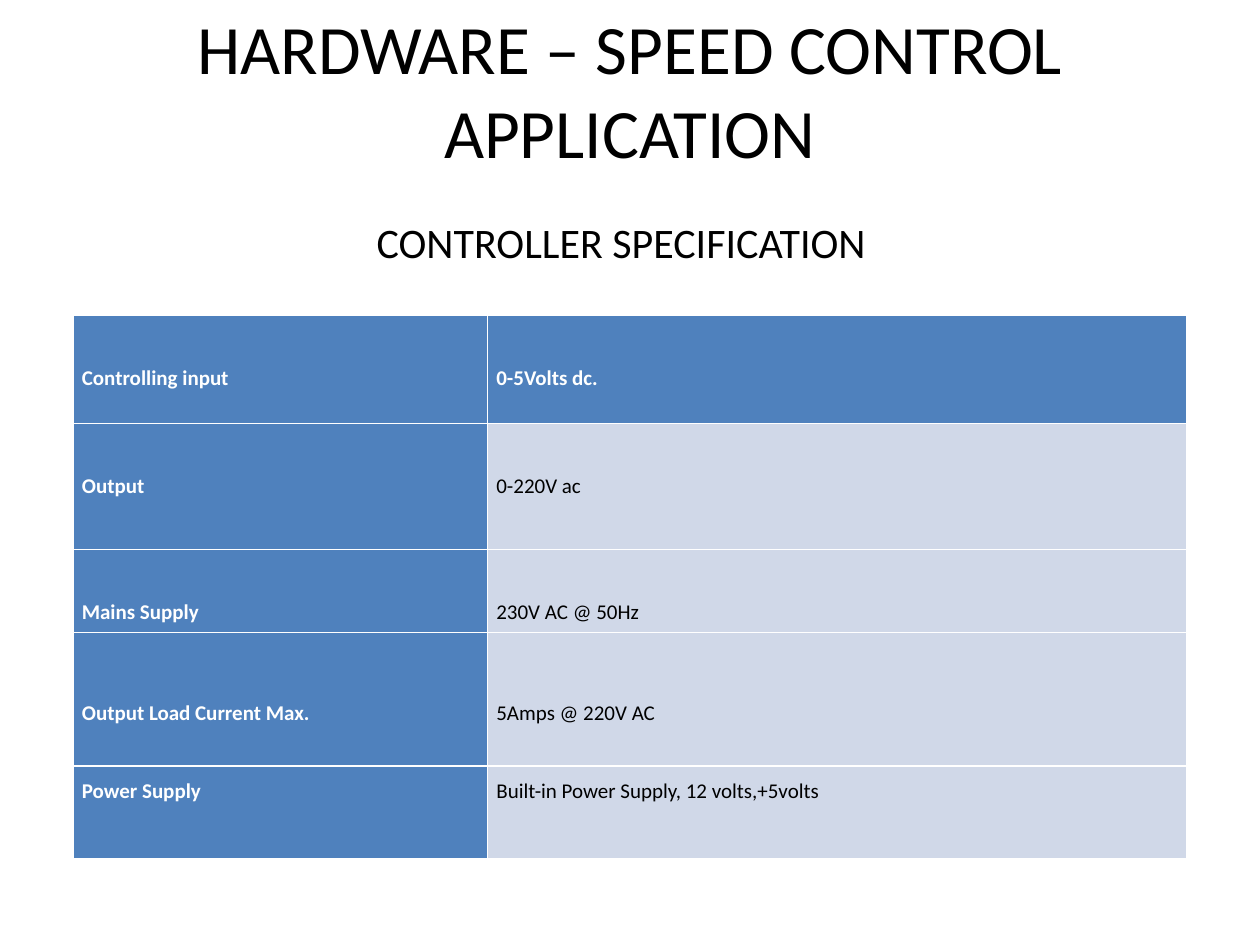
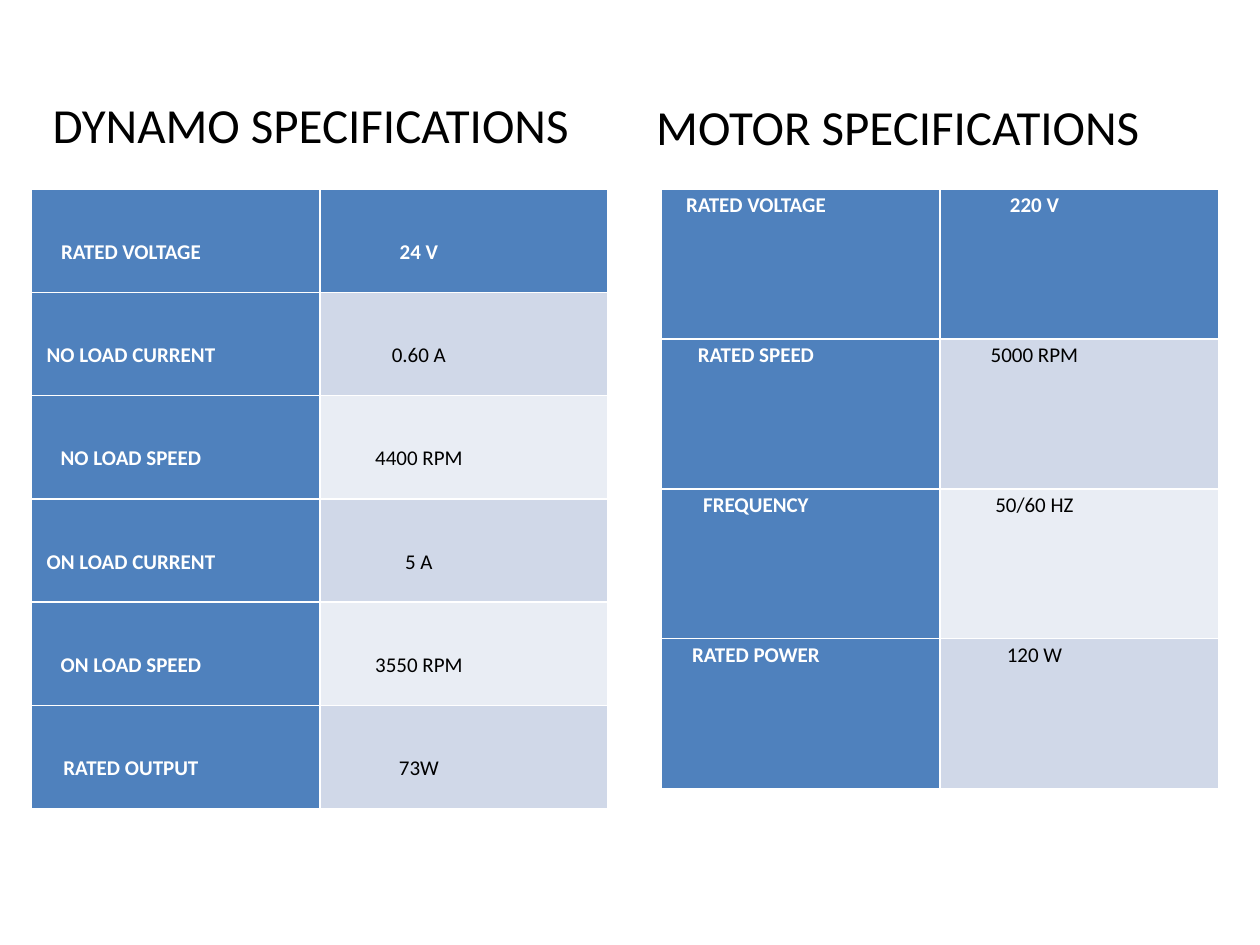
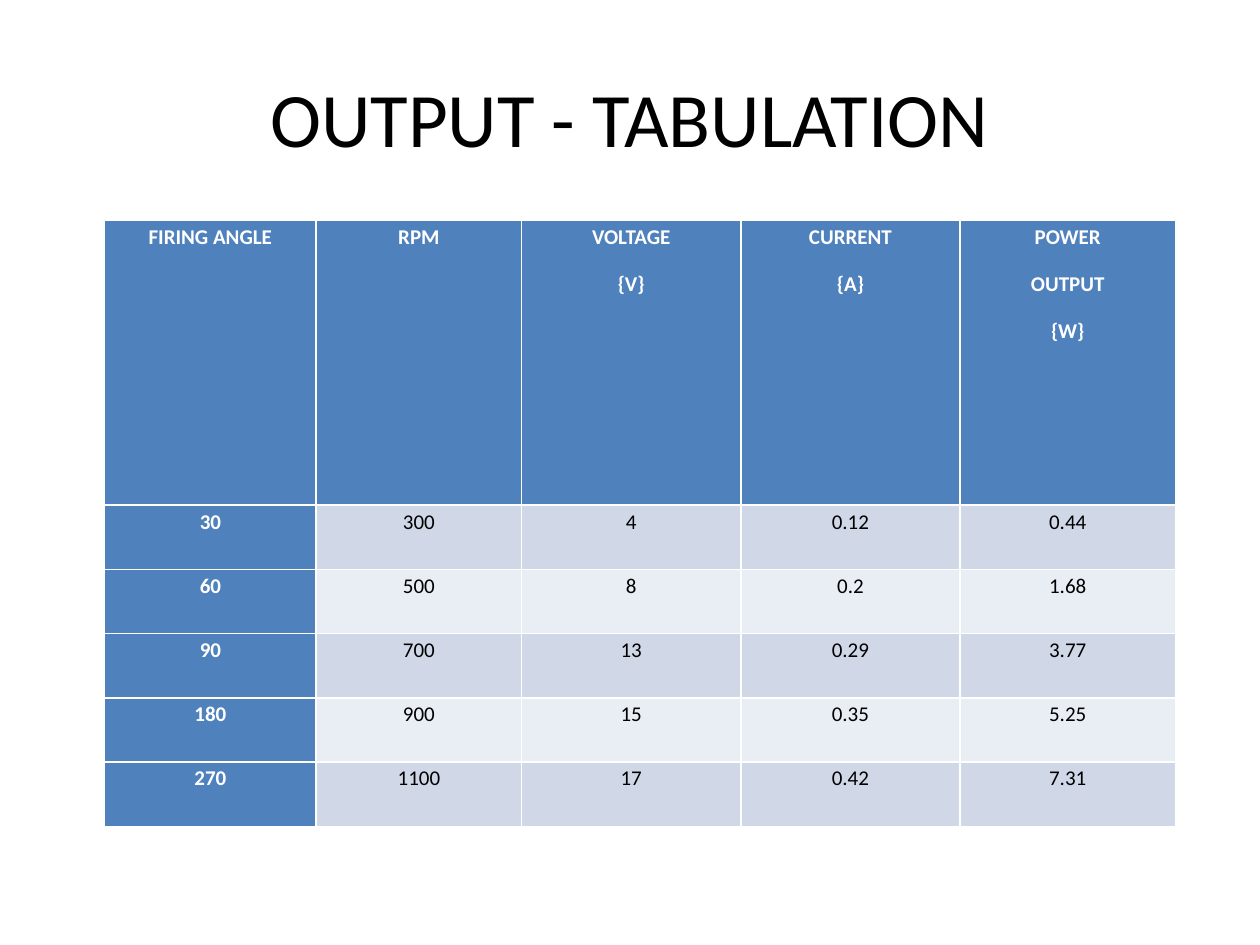
import pptx
import pptx.util
import pptx.dml.color
import pptx.enum.text

Inches = pptx.util.Inches
Pt = pptx.util.Pt
RGBColor = pptx.dml.color.RGBColor
Align = pptx.enum.text.PP_ALIGN
Fit = pptx.enum.text.MSO_AUTO_SIZE

FONT = "Calibri"
BLACK = RGBColor(0x00, 0x00, 0x00)
WHITE = RGBColor(0xFF, 0xFF, 0xFF)
BLUE = RGBColor(0x4F, 0x81, 0xBD)
BAND = RGBColor(0xD0, 0xD8, 0xE8)
PALE = RGBColor(0xE9, 0xED, 0xF4)

TITLE_ONLY, BLANK = 5, 6
SIDE = 0.07      # usual left and right cell margin
RIGHT = 0.78     # right cell margin that shifts centred text to the left
DROP = 0.37      # top cell margin, one line deep
DEEP = 0.44      # the same for wider line spacing

CONTROL = [
    ("Controlling input", "0-5Volts dc."),
    ("Output", "0-220V ac"),
    ("Mains Supply", "230V AC @ 50Hz"),
    ("Output Load Current Max.", "5Amps @ 220V AC"),
    ("Power Supply", "Built-in Power Supply, 12 volts,+5volts"),
]
DYNAMO = [
    ("RATED VOLTAGE", "24 V"),
    ("NO LOAD CURRENT", "0.60 A"),
    ("NO LOAD SPEED", "4400 RPM"),
    ("ON LOAD CURRENT", "5 A"),
    ("ON LOAD SPEED", "3550 RPM"),
    ("RATED OUTPUT", "73W"),
]
MOTOR = [
    ("RATED VOLTAGE", "220 V"),
    ("RATED SPEED", "5000 RPM"),
    ("FREQUENCY", "50/60 HZ"),
    ("RATED POWER", "120 W"),
]
OUTPUT = [
    ("FIRING ANGLE", "RPM", "VOLTAGE\n{V}", "CURRENT\n{A}", "POWER\nOUTPUT\n{W}"),
    ("30", "300", "4", "0.12", "0.44"),
    ("60", "500", "8", "0.2", "1.68"),
    ("90", "700", "13", "0.29", "3.77"),
    ("180", "900", "15", "0.35", "5.25"),
    ("270", "1100", "17", "0.42", "7.31"),
]


def add_run(para, text, size, color=BLACK, bold=False):
    run = para.add_run()
    run.text = text
    run.font.name = FONT
    run.font.size = Pt(size)
    run.font.bold = bold
    run.font.color.rgb = color


def add_title(slide, text, top, size):
    title = slide.shapes.title
    title.left, title.top = Inches(0.5), Inches(top)
    title.width, title.height = Inches(9), Inches(1.25)
    frame = title.text_frame
    frame.auto_size = Fit.NONE
    frame.vertical_anchor = pptx.enum.text.MSO_ANCHOR.MIDDLE
    frame.paragraphs[0].alignment = Align.CENTER
    add_run(frame.paragraphs[0], text, size)


def add_label(slide, text, place, size, inset=0.1):
    box = slide.shapes.add_textbox(*map(Inches, place))
    frame = box.text_frame
    frame.word_wrap = True
    frame.auto_size = Fit.SHAPE_TO_FIT_TEXT
    frame.margin_left = Inches(inset)
    add_run(frame.paragraphs[0], text, size)


def fill_cell(cell, text, fill, head, align, space):
    cell.fill.solid()
    cell.fill.fore_color.rgb = fill
    frame = cell.text_frame
    for i, line in enumerate(text.split("\n")):
        para = frame.add_paragraph() if i else frame.paragraphs[0]
        para.alignment = align
        para.line_spacing = space
        para.space_after = Pt(10)
        add_run(para, line, 12, WHITE if head else BLACK, head)


def add_grid(slide, data, left, top, cols, rows, align=Align.CENTER,
             tops=None, spaces=None, right=SIDE, bands=(BAND, PALE)):
    """Add a table; tops and spaces give each row's top margin and line spacing."""
    tops = tops or [0] * len(rows)
    spaces = spaces or [1.15] * len(rows)
    table = slide.shapes.add_table(
        len(rows), len(cols), Inches(left), Inches(top),
        Inches(sum(cols)), Inches(sum(rows))).table
    table.first_col = True
    for col, width in zip(table.columns, cols):
        col.width = Inches(width)
    for r, texts in enumerate(data):
        table.rows[r].height = Inches(rows[r])
        for c, text in enumerate(texts):
            cell = table.cell(r, c)
            cell.margin_left, cell.margin_right = Inches(SIDE), Inches(right)
            cell.margin_top, cell.margin_bottom = Inches(tops[r]), 0
            head = r == 0 or c == 0
            fill = BLUE if head else bands[(r - 1) % len(bands)]
            fill_cell(cell, text, fill, head, align, spaces[r])


def add_slide(deck, layout):
    return deck.slides.add_slide(deck.slide_layouts[layout])


def build_control(deck):
    slide = add_slide(deck, TITLE_ONLY)
    add_title(slide, "HARDWARE – SPEED CONTROL APPLICATION", 0.08, 39.6)
    add_grid(slide, CONTROL, 0.58, 2.5, [3.29, 5.55], [0.86, 1, 0.66, 1.06, 0.74],
             align=Align.LEFT, tops=[DROP, DROP, DROP, DEEP, 0],
             spaces=[1.15, 1.15, 1.15, 1.5, 1.5], bands=(BAND,))
    add_label(slide, "CONTROLLER SPECIFICATION", (1.08, 1.67, 7.92, 0.5), 24, 1.91)


def build_specs(deck):
    slide = add_slide(deck, BLANK)
    add_grid(slide, DYNAMO, 0.25, 1.5, [2.29, 2.28], [0.82] * 6,
             tops=[DROP] * 6, right=RIGHT)
    add_label(slide, "DYNAMO SPECIFICATIONS", (0.32, 0.7, 4.58, 0.57), 28)
    add_grid(slide, MOTOR, 5.25, 1.5, [2.21] * 2, [1.19] * 4, right=RIGHT)
    add_label(slide, "MOTOR SPECIFICATIONS", (5.11, 0.72, 4.58, 0.57), 28)


def build_output(deck):
    slide = add_slide(deck, TITLE_ONLY)
    add_title(slide, "OUTPUT - TABULATION", 0.3, 44)
    add_grid(slide, OUTPUT, 0.83, 1.75, [1.68, 1.63, 1.74, 1.74, 1.71],
             [2.26] + [0.51] * 5)


def main():
    deck = pptx.Presentation()
    deck.slide_width, deck.slide_height = Inches(10), Inches(7.5)
    build_control(deck)
    build_specs(deck)
    build_output(deck)
    deck.save("out.pptx")


if __name__ == "__main__":
    main()
